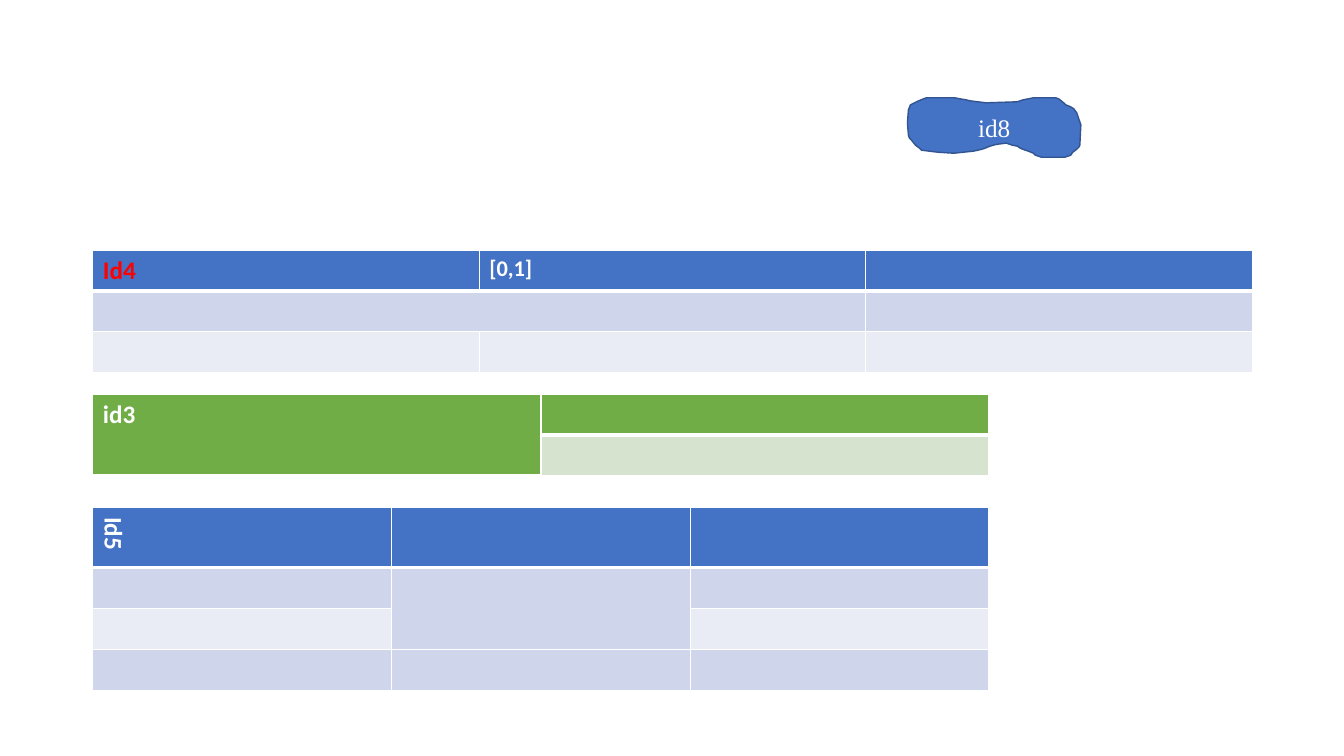
from lxml import etree
from pptx import Presentation
from pptx.dml.color import RGBColor
from pptx.enum import text
from pptx.oxml.ns import qn
from pptx.util import Inches, Pt

THEME = {
    "white": "FFFFFF", "red": "FF0000", "blob_line": "325491",
    "blue": ("4472C4", "CFD5EA", "E9EBF5"),  # header, odd row, even row
    "green": ("70AD47", "D5E3CF", "D5E3CF"),
    "table_font": "Calibri", "blob_font": "Times New Roman",
    "size": 18, "small": 16, "rule": 1, "header_rule": 3,
}

# texts map (row, column) to words and what differs from white 18 pt
TABLES = [
    {"top": 2.48, "width": 11.5, "height": 1.21, "rows": 3, "columns": 3, "palette": "blue",
     "texts": {(0, 0): ("Id4", {"color": "red"}), (0, 1): ("[0,1]", {"size": "small"})},
     "merge": ((1, 0), (1, 1))},
    {"top": 3.91, "width": 8.89, "height": 0.81, "rows": 2, "columns": 2, "palette": "green",
     "texts": {(0, 0): ("id3", {})}, "merge": ((0, 0), (1, 0))},
    {"top": 5.03, "width": 8.89, "height": 1.62, "rows": 4, "columns": 3, "palette": "blue",
     "texts": {(0, 0): ("Id5\t", {"vert": "vert"})}, "merge": ((1, 1), (2, 1))},
]
TABLE_LEFT = 0.92

BLOB_TEXT = "id8"
BLOB_OUTLINE = [  # hundredths of an inch
    (912, 147), (908, 144), (904, 139), (902, 137), (901, 134), (900, 122), (901, 109),
    (903, 104), (909, 101), (916, 98), (919, 97), (921, 97), (947, 97), (952, 98),
    (958, 99), (962, 100), (978, 102), (1009, 101), (1015, 99), (1025, 97), (1047, 97),
    (1050, 98), (1055, 102), (1057, 104), (1062, 106), (1065, 108), (1068, 112),
    (1069, 115), (1072, 124), (1071, 144), (1070, 146), (1068, 148), (1064, 151),
    (1062, 154), (1059, 155), (1056, 156), (1033, 156), (1027, 154), (1025, 152),
    (1020, 150), (1017, 149), (1012, 147), (1009, 145), (1004, 144), (998, 142),
    (990, 143), (985, 144), (982, 145), (977, 147), (974, 148), (970, 149), (965, 150),
    (946, 152), (930, 151), (914, 149),
]


def rgb(name):
    return RGBColor.from_string(name)


def set_font(font, **values):
    font.color.rgb = rgb(values.pop("color"))
    for key, value in values.items():
        setattr(font, key, value)


def add_borders(cell, row):
    """Draw white rules round a cell, thicker on both sides of the header's lower edge."""
    heavy = {0: "lnB", 1: "lnT"}.get(row)
    properties = cell._tc.get_or_add_tcPr()
    for side in ("lnL", "lnR", "lnT", "lnB"):
        width = THEME["header_rule" if side == heavy else "rule"]
        line = etree.SubElement(properties, qn(f"a:{side}"), w=str(Pt(width)))
        fill = etree.SubElement(line, qn("a:solidFill"))
        etree.SubElement(fill, qn("a:srgbClr"), val=THEME["white"])


def write_cell(cell, words, color="white", size="size", vert=None):
    cell.text = words
    set_font(cell.text_frame.paragraphs[0].runs[0].font, color=THEME[color],
             size=Pt(THEME[size]), name=THEME["table_font"], bold=True)
    if vert:
        cell._tc.get_or_add_tcPr().set("vert", vert)


def add_grid(slide, content):
    table = slide.shapes.add_table(
        content["rows"], content["columns"], Inches(TABLE_LEFT), Inches(content["top"]),
        Inches(content["width"]), Inches(content["height"])).table
    header, odd, even = THEME[content["palette"]]
    for row in range(content["rows"]):
        band = header if row == 0 else odd if row % 2 else even
        for column in range(content["columns"]):
            cell = table.cell(row, column)
            add_borders(cell, row)
            cell.fill.solid()
            cell.fill.fore_color.rgb = rgb(band)
    for position, (words, style) in content["texts"].items():
        write_cell(table.cell(*position), words, **style)
    first, last = content["merge"]
    table.cell(*first).merge(table.cell(*last))


def add_blob(slide):
    builder = slide.shapes.build_freeform(*BLOB_OUTLINE[0], scale=Inches(0.01))
    builder.add_line_segments(BLOB_OUTLINE[1:], close=True)
    blob = builder.convert_to_shape()
    blob.shadow.inherit = False
    blob.fill.solid()
    blob.fill.fore_color.rgb = rgb(THEME["blue"][0])
    blob.line.color.rgb = rgb(THEME["blob_line"])
    blob.line.width = Pt(THEME["rule"])
    frame = blob.text_frame
    frame.vertical_anchor = text.MSO_ANCHOR.MIDDLE
    label = frame.paragraphs[0]
    label.alignment = text.PP_ALIGN.CENTER
    run = label.add_run()
    run.text = BLOB_TEXT
    set_font(run.font, color=THEME["white"], size=Pt(THEME["size"]), name=THEME["blob_font"])


def main():
    deck = Presentation()
    deck.slide_width, deck.slide_height = Inches(13.33), Inches(7.5)
    slide = deck.slides.add_slide(deck.slide_layouts[6])
    add_blob(slide)
    for content in TABLES:
        add_grid(slide, content)
    deck.save("out.pptx")


if __name__ == "__main__":
    main()
